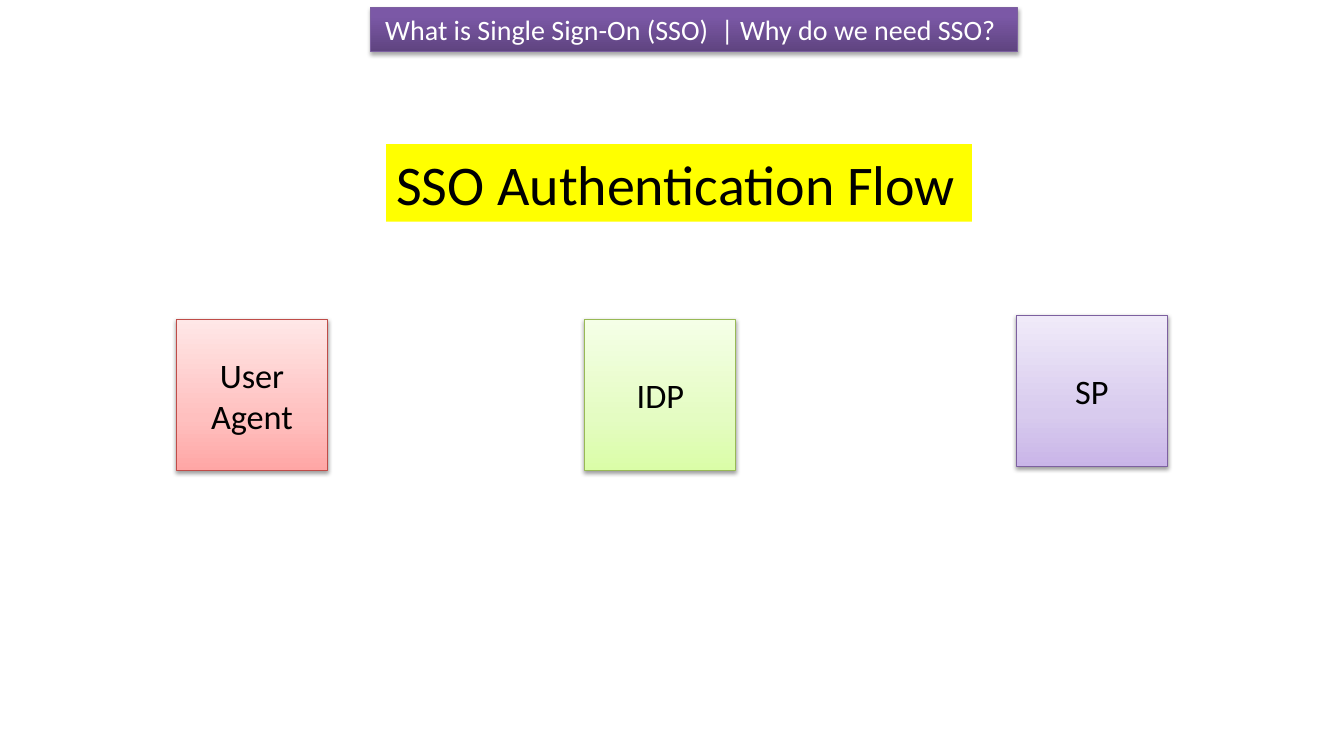
"""Build the SSO authentication flow slide."""
import copy

import pptx
import pptx.dml.color
import pptx.enum.shapes
import pptx.enum.text
import pptx.oxml
import pptx.oxml.ns
import pptx.util

Inches = pptx.util.Inches
RGBColor = pptx.dml.color.RGBColor
ALIGN = pptx.enum.text.PP_ALIGN
ANCHOR = pptx.enum.text.MSO_ANCHOR

BLACK = RGBColor(0x00, 0x00, 0x00)
WHITE = RGBColor(0xFF, 0xFF, 0xFF)
YELLOW = RGBColor(0xFF, 0xFF, 0x00)
RED_LINE = RGBColor(0xBF, 0x4C, 0x48)
GREEN_LINE = RGBColor(0x98, 0xB9, 0x55)
PURPLE_LINE = RGBColor(0x7D, 0x60, 0xA0)
BANNER_SHADES = (RGBColor(0x5F, 0x44, 0x80), RGBColor(0x7B, 0x58, 0xA6), RGBColor(0x7C, 0x57, 0xA8))
RED_SHADES = (RGBColor(0xFF, 0xA6, 0xA5), RGBColor(0xFF, 0xC0, 0xBF), RGBColor(0xFF, 0xE7, 0xE7))
GREEN_SHADES = (RGBColor(0xDA, 0xFD, 0xA7), RGBColor(0xE4, 0xFC, 0xC2), RGBColor(0xF5, 0xFF, 0xE7))
PURPLE_SHADES = (RGBColor(0xC9, 0xB5, 0xE8), RGBColor(0xD8, 0xCB, 0xEE), RGBColor(0xF0, 0xEA, 0xF9))

PARTY_SIZE = 1.5


def write_text(shape, text, *, size, color=BLACK, align=ALIGN.CENTER, anchor=ANCHOR.MIDDLE):
    """Put one formatted paragraph into a shape."""
    frame = shape.text_frame
    frame.text = text
    frame.word_wrap = True
    frame.auto_size = pptx.enum.text.MSO_AUTO_SIZE.NONE
    frame.vertical_anchor = anchor
    paragraph = frame.paragraphs[0]
    paragraph.alignment = align
    font = paragraph.runs[0].font
    font.name = "Calibri"
    font.size = pptx.util.Pt(size)
    font.color.rgb = color


def fill_gradient(shape, shades, middle):
    """Fill a shape with three shades running from bottom to top."""
    shape.fill.gradient()
    shape.fill.gradient_angle = 90
    stop_list = shape._element.spPr.find(".//" + pptx.oxml.ns.qn("a:gsLst"))
    stop_list.insert(1, copy.deepcopy(stop_list[0]))
    for stop, shade, position in zip(shape.fill.gradient_stops, shades, (0, middle, 1)):
        stop.position = position
        stop.color.rgb = shade


def cast_shadow(shape, opacity, distance):
    """Give a shape a soft shadow straight below it."""
    shape.shadow.inherit = False
    effects = shape._element.spPr.find(pptx.oxml.ns.qn("a:effectLst"))
    effects.append(pptx.oxml.parse_xml(
        f'<a:outerShdw {pptx.oxml.ns.nsdecls("a")} blurRad="{pptx.util.Pt(3.1)}" '
        f'dist="{pptx.util.Pt(distance)}" dir="5400000" rotWithShape="0">'
        f'<a:srgbClr val="000000"><a:alpha val="{opacity * 1000}"/></a:srgbClr></a:outerShdw>'))


def add_box(slide, left, top, width, height, shades, line, *, middle=0.35, opacity=38, distance=1.6):
    """Add a shaded, outlined rectangle and return it."""
    box = slide.shapes.add_shape(pptx.enum.shapes.MSO_SHAPE.RECTANGLE, Inches(left),
                                 Inches(top), Inches(width), Inches(height))
    fill_gradient(box, shades, middle)
    box.line.color.rgb = line
    box.line.width = pptx.util.Pt(0.75)
    cast_shadow(box, opacity, distance)
    return box


def place_title(slide, text):
    """Move the title placeholder into place and highlight it."""
    title = slide.shapes.title
    title.left, title.top = Inches(3.83), Inches(1.43)
    title.width, title.height = Inches(5.81), Inches(0.77)
    title.fill.solid()
    title.fill.fore_color.rgb = YELLOW
    write_text(title, text, size=40, align=ALIGN.LEFT, anchor=ANCHOR.TOP)


def main():
    """Build and save the slide."""
    deck = pptx.Presentation()
    deck.slide_width, deck.slide_height = Inches(13.33), Inches(7.5)
    slide = deck.slides.add_slide(deck.slide_layouts.get_by_name("Title Only"))

    place_title(slide, "SSO Authentication Flow")
    banner = add_box(slide, 3.67, 0.07, 6.42, 0.44, BANNER_SHADES, PURPLE_LINE,
                     middle=0.8, opacity=35, distance=1.8)
    write_text(banner, "What is Single Sign-On (SSO)  | Why do we need SSO? ",
               size=20, color=WHITE, anchor=ANCHOR.TOP)

    parties = (
        ("User Agent", 1.75, 3.17, RED_SHADES, RED_LINE),
        ("IDP", 5.8, 3.17, GREEN_SHADES, GREEN_LINE),
        ("SP", 10.08, 3.13, PURPLE_SHADES, PURPLE_LINE),
    )
    for name, left, top, shades, line in parties:
        party = add_box(slide, left, top, PARTY_SIZE, PARTY_SIZE, shades, line)
        write_text(party, name, size=24.5)

    deck.save("out.pptx")


if __name__ == "__main__":
    main()
